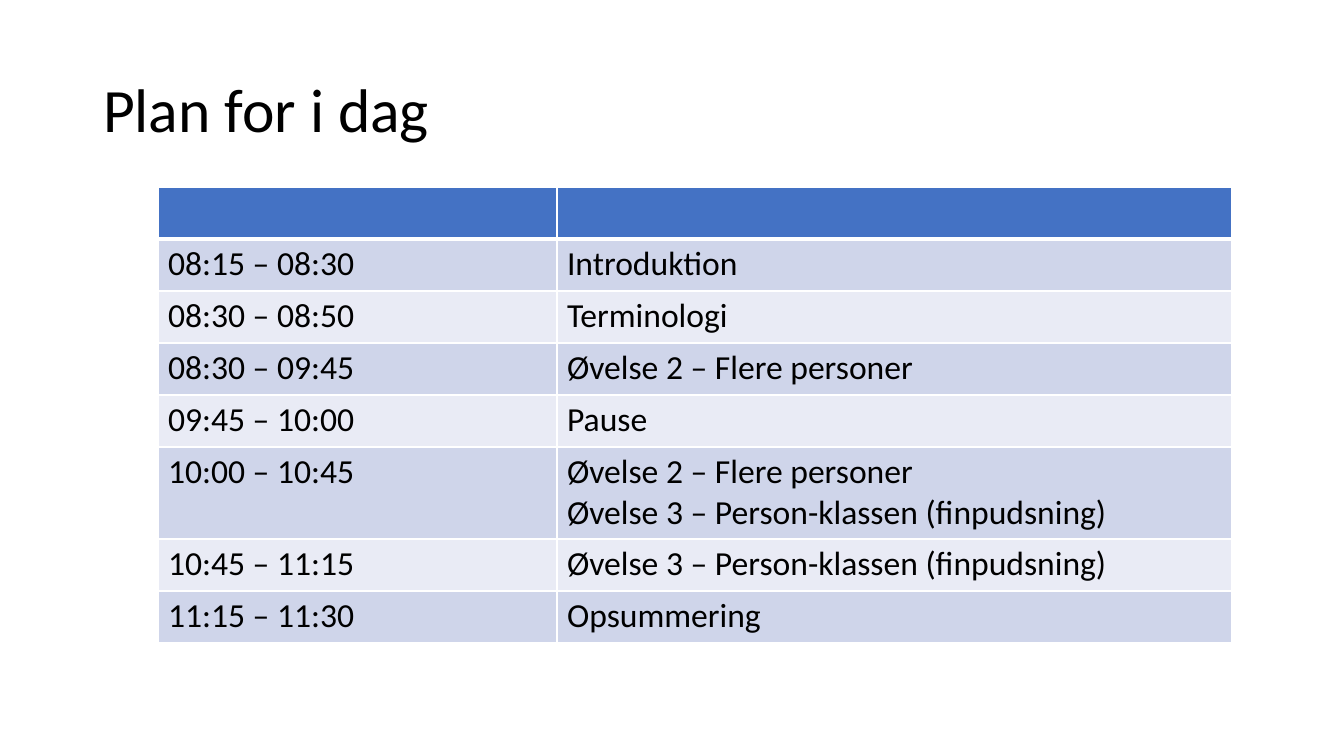
import pptx
import pptx.dml.color
import pptx.enum.text
import pptx.oxml
import pptx.oxml.ns
import pptx.util

# Content
TITLE = "Plan for i dag"
PLAN = [
    ("", ""),
    ("08:15 – 08:30", "Introduktion"),
    ("08:30 – 08:50", "Terminologi"),
    ("08:30 – 09:45", "Øvelse 2 – Flere personer"),
    ("09:45 – 10:00", "Pause"),
    ("10:00 – 10:45", "Øvelse 2 – Flere personer\nØvelse 3 – Person-klassen (finpudsning)"),
    ("10:45 – 11:15", "Øvelse 3 – Person-klassen (finpudsning)"),
    ("11:15 – 11:30", "Opsummering"),
]

# Layout in pixels
SLIDE_SIZE = (1344, 756)
TITLE_BOX = (93, 40, 1159, 146)
TABLE_LEFT, TABLE_TOP = 158, 187
COLUMN_WIDTHS = (399, 675)
ROW_HEIGHT, EXTRA_LINE = 52, 40

# Style
FONT = "Calibri"
HEADER_FILL, BAND_FILLS = "4472C4", ("CFD5EA", "E9EBF5")
BORDER_COLOR = "FFFFFF"


def px(pixels):
    return pptx.util.Emu(round(pixels * 914400 / 100.8))


def color(hex_code):
    return pptx.dml.color.RGBColor.from_string(hex_code)


def write(text_frame, text, size, hex_code="000000", line_spacing=None):
    text_frame.text = text
    for paragraph in text_frame.paragraphs:
        paragraph.line_spacing = line_spacing
        paragraph.font.size = pptx.util.Pt(size)
        for run in paragraph.runs:
            run.font.name = FONT
            run.font.size = pptx.util.Pt(size)
            run.font.color.rgb = color(hex_code)


def add_borders(cell, **widths):
    properties = cell._tc.get_or_add_tcPr()
    for side in "LRTB":
        width = pptx.util.Pt(widths.get(side, 1))
        properties.append(pptx.oxml.parse_xml(
            f'<a:ln{side} {pptx.oxml.ns.nsdecls("a")} w="{width}"><a:solidFill>'
            f'<a:srgbClr val="{BORDER_COLOR}"/></a:solidFill></a:ln{side}>'))


presentation = pptx.Presentation()
presentation.slide_width, presentation.slide_height = map(px, SLIDE_SIZE)
slide = presentation.slides.add_slide(presentation.slide_layouts[5])

# Title
title = slide.shapes.title
title.left, title.top, title.width, title.height = map(px, TITLE_BOX)
write(title.text_frame, TITLE, size=44, line_spacing=0.9)
title.text_frame.vertical_anchor = pptx.enum.text.MSO_ANCHOR.MIDDLE
for paragraph in title.text_frame.paragraphs:
    paragraph.alignment = pptx.enum.text.PP_ALIGN.LEFT

# Schedule table
row_heights = [ROW_HEIGHT + EXTRA_LINE * activity.count("\n") for _, activity in PLAN]
table = slide.shapes.add_table(
    len(PLAN), len(COLUMN_WIDTHS), px(TABLE_LEFT), px(TABLE_TOP),
    px(sum(COLUMN_WIDTHS)), px(sum(row_heights))).table
for column, width in zip(table.columns, COLUMN_WIDTHS):
    column.width = px(width)

for row_index, (row, height, entries) in enumerate(zip(table.rows, row_heights, PLAN)):
    row.height = px(height)
    fill = BAND_FILLS[(row_index - 1) % 2] if row_index else HEADER_FILL
    for cell, text in zip(row.cells, entries):
        write(cell.text_frame, text, size=24)
        # The thick rule separates the header from the first entry
        add_borders(cell, T=3 if row_index == 1 else 1, B=1 if row_index else 3)
        cell.fill.solid()
        cell.fill.fore_color.rgb = color(fill)

presentation.save("out.pptx")
